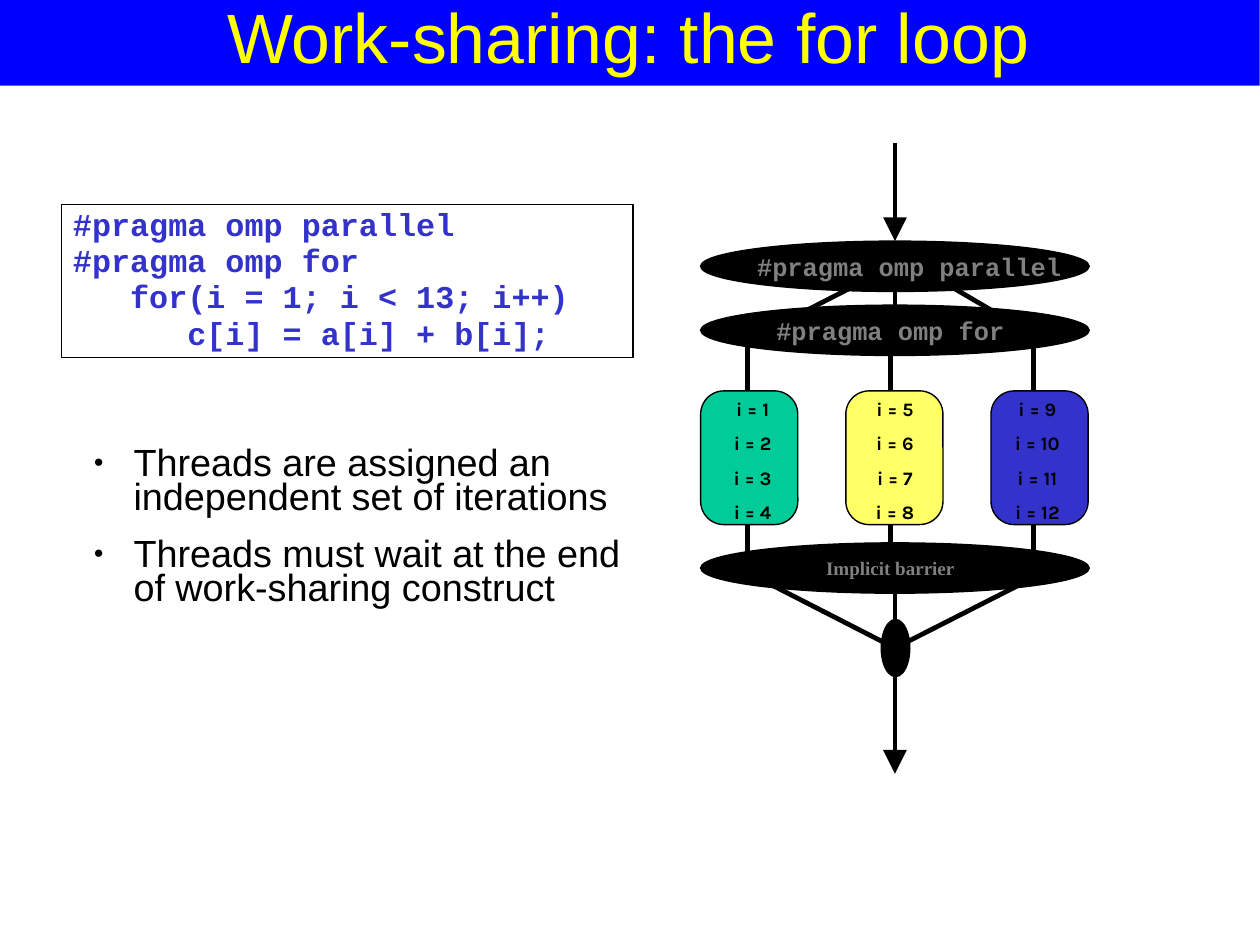
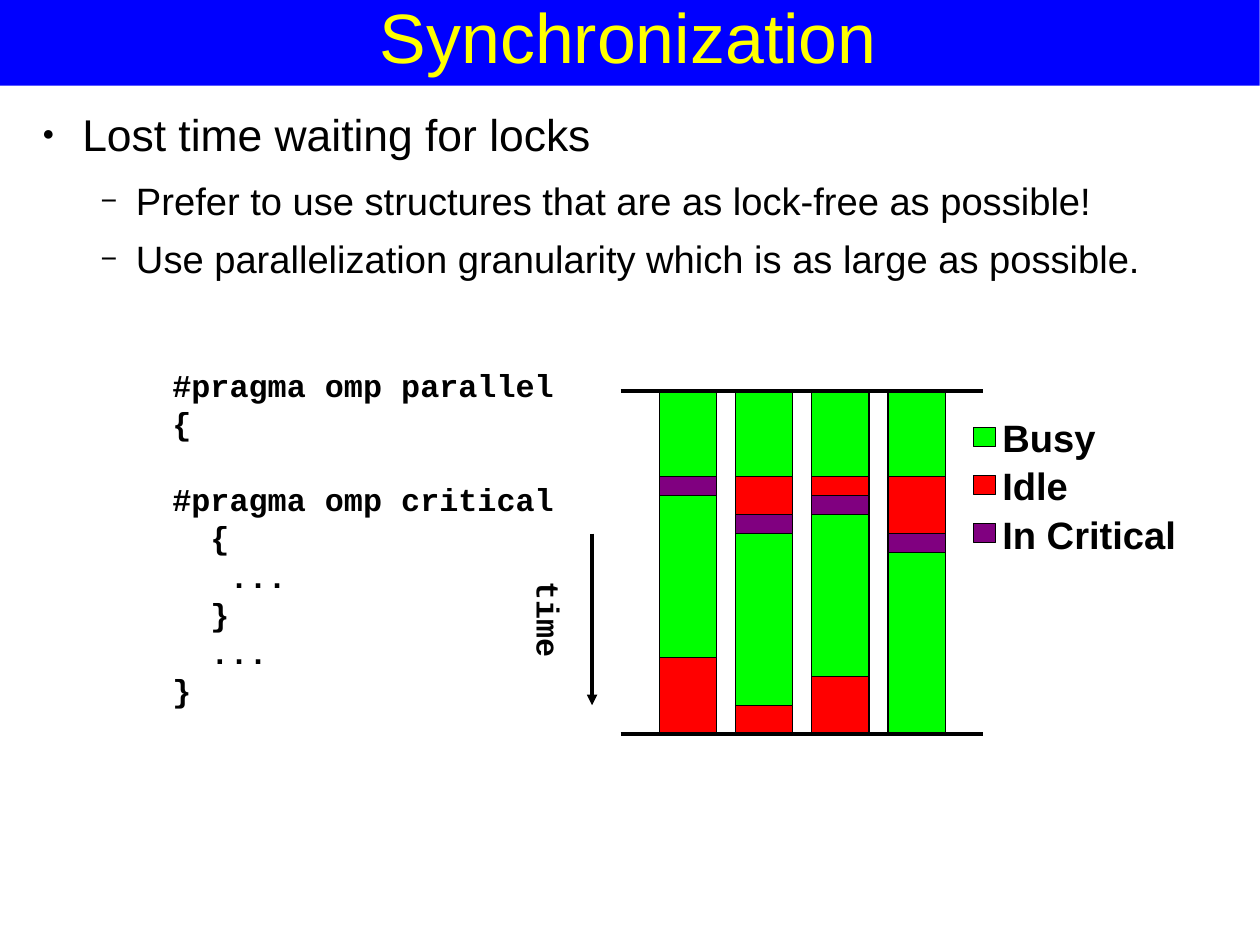
from lxml import etree
from pptx import Presentation
from pptx.dml.color import RGBColor
from pptx.enum import shapes, text
from pptx.oxml import ns
from pptx.util import Inches, Pt

BLUE = RGBColor(0x00, 0x00, 0xFF)
YELLOW = RGBColor(0xFF, 0xFF, 0x00)
BLACK = RGBColor(0x00, 0x00, 0x00)
WHITE = RGBColor(0xFF, 0xFF, 0xFF)
GRAY = RGBColor(0x80, 0x80, 0x80)
INDIGO = RGBColor(0x33, 0x33, 0xCC)
TEAL = RGBColor(0x00, 0xCC, 0x99)
PALE_YELLOW = RGBColor(0xFF, 0xFF, 0x66)
GREEN = RGBColor(0x00, 0xFF, 0x00)
RED = RGBColor(0xFF, 0x00, 0x00)
PURPLE = RGBColor(0x80, 0x00, 0x80)

RECTANGLE = shapes.MSO_SHAPE.RECTANGLE
ROUNDED = shapes.MSO_SHAPE.ROUNDED_RECTANGLE
OVAL = shapes.MSO_SHAPE.OVAL
CENTER = text.PP_ALIGN.CENTER
MIDDLE = text.MSO_ANCHOR.MIDDLE

LEVEL_ONE = dict(bullet="●", bullet_size=45, indent=(0.47, -0.35), after=14.3)
LEVEL_TWO = dict(bullet="−", bullet_size=75, indent=(0.94, -0.31), after=11.4,
                 size=24, leading=25.1)
CODE = dict(font="Courier New", size=20, bold=True)

LOOP_CODE = ["#pragma omp parallel", "#pragma omp for",
             "   for(i = 1; i < 13; i++)", "      c[i] = a[i] + b[i];"]
LOOP_POINTS = ["Threads are assigned an independent set of iterations",
               "Threads must wait at the end of work-sharing construct"]
THREAD_COLORS = [TEAL, PALE_YELLOW, INDIGO]
ITERATIONS_PER_THREAD = 4
STAGES = [
    ("#pragma omp parallel", 2.11, (0.25, 0, 0, 0), dict(font="Courier New", size=16)),
    ("#pragma omp for", 2.67, (0, 0, 0.08, 0), dict(font="Courier New", size=16)),
    ("Implicit barrier", 4.75, (0, 0, 0.08, 0), dict(font="Times New Roman", size=12)),
]
FORKS = [(6.56, 2.32), (7.83, 2.32), (9.11, 2.22)]

LOCK_POINTS = [
    ("Lost time waiting for locks", {}),
    ("Prefer to use structures that are as lock-free as possible!", LEVEL_TWO),
    ("Use parallelization granularity which is as large as possible.", LEVEL_TWO),
]
CRITICAL_CODE = ["#pragma omp parallel", "{",
                 ("#pragma omp critical", dict(before=24)),
                 "  {", "   ...", "  }", "  ...", "}"]
STATES = {"Busy": GREEN, "Idle": RED, "In Critical": PURPLE}
TIMELINES = [
    [("Busy", 9), ("In Critical", 2), ("Busy", 17), ("Idle", 8)],
    [("Busy", 9), ("Idle", 4), ("In Critical", 2), ("Busy", 18), ("Idle", 3)],
    [("Busy", 9), ("Idle", 2), ("In Critical", 2), ("Busy", 17), ("Idle", 6)],
    [("Busy", 9), ("Idle", 6), ("In Critical", 2), ("Busy", 19)],
]
TICK = 1 / 12


def add_bullet(paragraph, character, percent, indent):
    properties = paragraph._p.get_or_add_pPr()
    properties.set("marL", str(Inches(indent[0])))
    properties.set("indent", str(Inches(indent[1])))
    color = etree.SubElement(properties, ns.qn("a:buClr"))
    etree.SubElement(color, ns.qn("a:srgbClr"), val=str(BLACK))
    etree.SubElement(properties, ns.qn("a:buSzPct"), val=str(percent * 1000))
    etree.SubElement(properties, ns.qn("a:buFont"), typeface="Arial")
    etree.SubElement(properties, ns.qn("a:buChar"), char=character)


def add_paragraph(paragraph, words, font="Arial", size=24, color=BLACK, bold=False,
                  align=None, leading=None, before=0, after=0,
                  bullet=None, bullet_size=100, indent=(0, 0)):
    if bullet:
        add_bullet(paragraph, bullet, bullet_size, indent)
    paragraph.alignment = align
    paragraph.space_before, paragraph.space_after = Pt(before), Pt(after)
    if leading:
        paragraph.line_spacing = Pt(leading)
    run = paragraph.add_run()
    run.text = words
    run.font.name, run.font.size, run.font.bold = font, Pt(size), bold
    run.font.color.rgb = color


def write(shape, lines, insets=(0, 0, 0, 0), anchor=text.MSO_ANCHOR.TOP,
          wrap=True, **style):
    frame = shape.text_frame
    frame.word_wrap, frame.vertical_anchor = wrap, anchor
    (frame.margin_left, frame.margin_top,
     frame.margin_right, frame.margin_bottom) = map(Inches, insets)
    for index, line in enumerate(lines):
        words, overrides = (line, {}) if isinstance(line, str) else line
        paragraph = frame.add_paragraph() if index else frame.paragraphs[0]
        options = {**style, **overrides}
        if index == 0:
            options["before"] = 0
        add_paragraph(paragraph, words, **options)
    return shape


def add_text(slide, box, lines, **style):
    return write(slide.shapes.add_textbox(*map(Inches, box)), lines, **style)


def add_block(slide, kind, box, fill, line_width=0.75):
    shape = slide.shapes.add_shape(kind, *map(Inches, box))
    shape.shadow.inherit = False
    shape.fill.solid()
    shape.fill.fore_color.rgb = fill
    if line_width:
        shape.line.color.rgb = BLACK
        shape.line.width = Pt(line_width)
    else:
        shape.line.fill.background()
    return shape


def add_line(slide, start, end, width, arrow=None):
    line = slide.shapes.add_connector(shapes.MSO_CONNECTOR.STRAIGHT,
                                      *map(Inches, (*start, *end)))
    line.line.color.rgb = BLACK
    line.line.width = Pt(width)
    if arrow:
        etree.SubElement(line.line._get_or_add_ln(), ns.qn("a:tailEnd"),
                         type="triangle", w=arrow, len=arrow)
    etree.SubElement(line._element.spPr, ns.qn("a:effectLst"))


def add_titled_slide(presentation, title):
    slide = presentation.slides.add_slide(presentation.slide_layouts[6])
    add_block(slide, RECTANGLE, (0, 0, 11.02, 0.75), BLUE, line_width=0)
    add_text(slide, (0, 0, 11, 0.75), [title], anchor=MIDDLE, size=44,
             color=YELLOW, align=CENTER, leading=44)
    return slide


def add_fork_join(slide):
    center, width = 7.83, 3
    for x, fork_top in FORKS:
        add_line(slide, (center, fork_top), (x, 2.97), width)
        add_line(slide, (x, 5.02), (center, 5.67), width)
    for index, color in enumerate(THREAD_COLORS):
        x = 6.54 + 1.25 * index
        add_line(slide, (x, 3), (x, 4.85), width)
        box = add_block(slide, ROUNDED, (6.13 + 1.27 * index, 3.42, 0.85, 1.17), color, 0.88)
        box.adjustments[0] = 0.24
        first = 1 + ITERATIONS_PER_THREAD * index
        labels = [f"i = {i}" for i in range(first, first + ITERATIONS_PER_THREAD)]
        write(box, labels, insets=(0.06, 0, 0.05 * index, 0), font="Karla", size=12,
              bold=True, align=CENTER, leading=14.2, before=7.5)
    for label, top, insets, style in STAGES:
        stage = add_block(slide, OVAL, (6.13, top, 3.4, 0.44), BLACK, 0.88)
        write(stage, [label], insets=insets, anchor=MIDDLE, wrap=False,
              color=GRAY, bold=True, align=CENTER, **style)
    add_block(slide, OVAL, (7.71, 5.42, 0.25, 0.5), BLACK, 0.88)
    for top, bottom in [(1.25, 2.11), (5.88, 6.77)]:
        add_line(slide, (center, top), (center, bottom), width, arrow="lg")


def add_timelines(slide):
    top, bottom = 3.42, 6.42
    for index, timeline in enumerate(TIMELINES):
        y = top
        for state, ticks in timeline:
            height = ticks * TICK
            add_block(slide, RECTANGLE, (5.77 + index * 2 / 3, y, 0.5, height), STATES[state])
            y += height
    for y in (top, bottom):
        add_line(slide, (5.43, y), (8.6, y), 2.25)
    add_line(slide, (5.18, 4.67), (5.18, 6.17), 2.25, arrow="med")
    axis = add_text(slide, (4.37, 5.2, 0.87, 0.44), ["time"], anchor=MIDDLE,
                    align=CENTER, **CODE)
    axis.rotation = 90
    for index, (state, color) in enumerate(STATES.items()):
        y = 3.74 + 0.42 * index
        add_block(slide, RECTANGLE, (8.52, y, 0.19, 0.17), color)
        add_text(slide, (8.77, y - 0.11, 2, 0.4), [state], anchor=MIDDLE, bold=True)


def main():
    presentation = Presentation()
    presentation.slide_width = Inches(28 / 2.54)
    presentation.slide_height = Inches(21 / 2.54)

    loop = add_titled_slide(presentation, "Work-sharing: the for loop")
    add_text(loop, (0.6, 3.89, 4.99, 1.52), LOOP_POINTS, insets=(0.1, 0.05, 0.1, 0.05),
             size=23.8, leading=21.4, **LEVEL_ONE)
    add_fork_join(loop)
    code_box = add_block(loop, RECTANGLE, (0.54, 1.79, 5, 1.34), WHITE, 1)
    write(code_box, LOOP_CODE, insets=(0.1, 0.05, 0.1, 0.05), color=INDIGO,
          leading=20.4, before=2.5, **CODE)

    locks = add_titled_slide(presentation, "Synchronization")
    add_text(locks, (0.25, 1, 10.5, 7), LOCK_POINTS,
             **{**LEVEL_ONE, "size": 28, "leading": 29.2})
    add_text(locks, (1.41, 3.15, 3.7, 3.1), CRITICAL_CODE,
             insets=(0.1, 0.05, 0.1, 0.05), leading=24, **CODE)
    add_timelines(locks)

    presentation.save("out.pptx")


if __name__ == "__main__":
    main()
